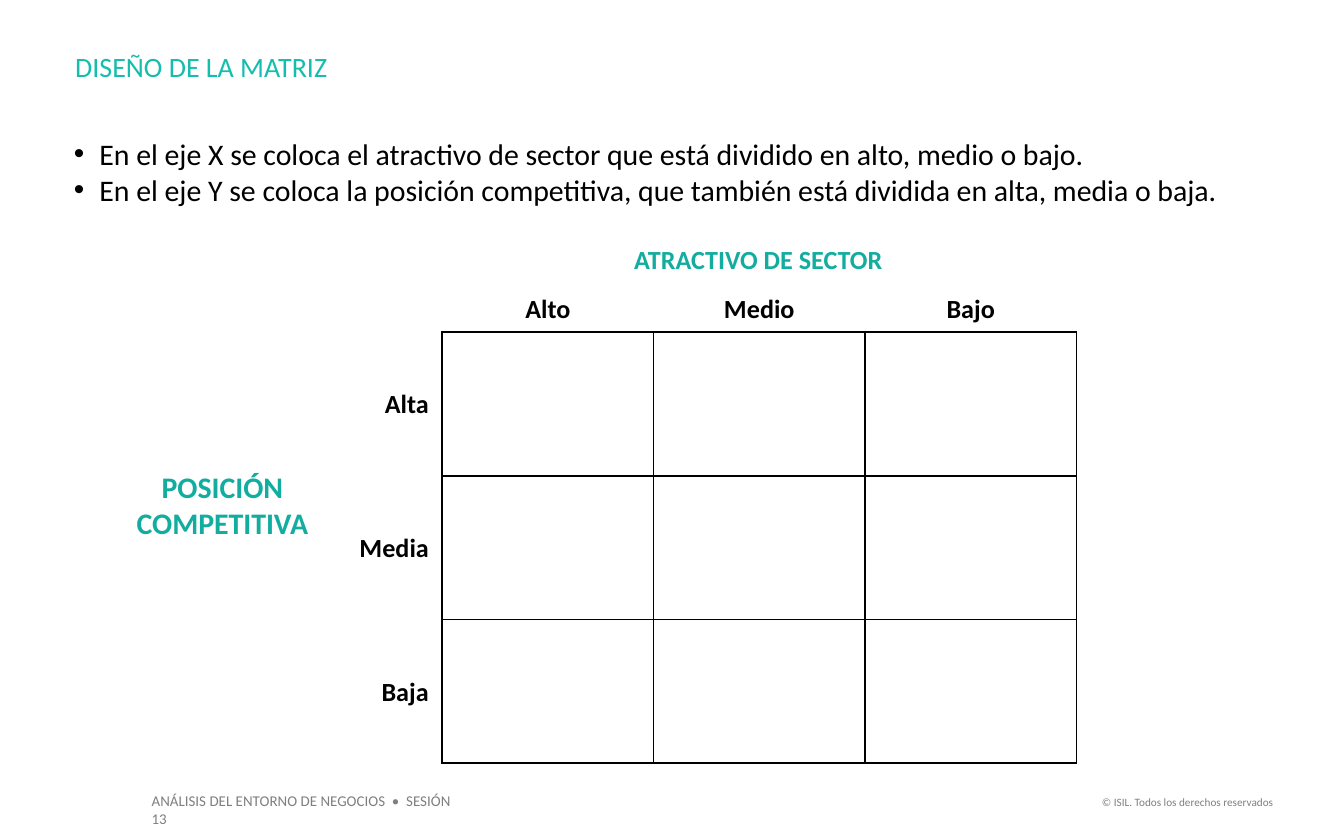
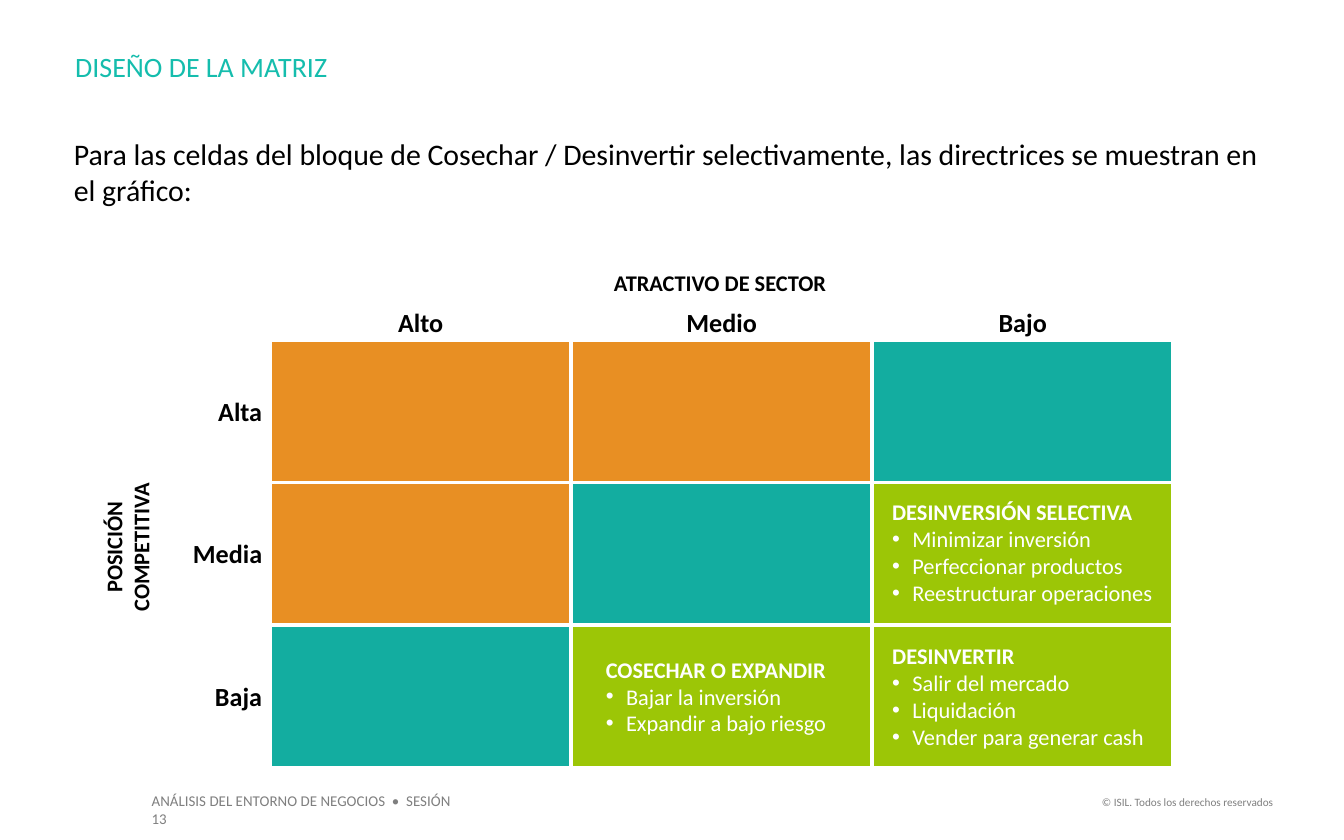
from lxml import etree
from pptx import Presentation
from pptx.dml.color import RGBColor
from pptx.enum.text import PP_ALIGN as Align
from pptx.oxml.ns import qn
from pptx.util import Inches, Pt

FONT = "Calibri"
BLACK = RGBColor(0x00, 0x00, 0x00)
WHITE = RGBColor(0xFF, 0xFF, 0xFF)
GRAY = RGBColor(0x7F, 0x7F, 0x7F)
TITLE_TEAL = RGBColor(0x15, 0xBD, 0xAD)
TEAL = RGBColor(0x13, 0xAD, 0xA0)
ORANGE = RGBColor(0xE8, 0x8F, 0x23)
GREEN = RGBColor(0x9C, 0xC6, 0x06)

COLUMN_LABELS = (("Alto", 0.54), ("Medio", 0.73), ("Bajo", 0.56))
ROW_LABELS = (("Alta", 0.53), ("Media", 0.72), ("Baja", 0.56))
LABEL_HEIGHT = 0.34
SECTOR_AXIS = "ATRACTIVO DE SECTOR"
POSITION_AXIS = "POSICIÓN COMPETITIVA"


def add_bullet(paragraph, indent):
    properties = paragraph._p.get_or_add_pPr()
    properties.set("marL", str(Inches(indent)))
    properties.set("indent", str(-Inches(indent)))
    etree.SubElement(properties, qn("a:buFont"), typeface="Arial")
    etree.SubElement(properties, qn("a:buChar"), char="•")


def add_text(slide, box, lines, size, color=BLACK, bold=False, align=Align.LEFT,
             inset=True, wrap=True, bullet_indent=None, heading=False):
    shape = slide.shapes.add_textbox(*map(Inches, box))
    frame = shape.text_frame
    frame.word_wrap = wrap
    frame.margin_left = frame.margin_right = Inches(0.1 if inset else 0)
    frame.margin_top = frame.margin_bottom = Inches(0.05 if inset else 0)
    frame.text = "\n".join(lines)
    for index, paragraph in enumerate(frame.paragraphs):
        is_heading = heading and index == 0
        if bullet_indent and not is_heading:
            add_bullet(paragraph, bullet_indent)
        paragraph.alignment = align
        paragraph.font.name = FONT
        paragraph.font.size = Pt(size)
        paragraph.font.color.rgb = color
        paragraph.font.bold = bold or is_heading
    return shape


def add_frame(presentation, body, bullet_indent=None):
    slide = presentation.slides.add_slide(presentation.slide_layouts[6])
    add_text(slide, (1.03, 5.84, 2.56, 0.24),
             ["ANÁLISIS DEL ENTORNO DE NEGOCIOS  •  SESIÓN 13"], 8, GRAY)
    add_text(slide, (8.05, 5.87, 1.52, 0.2),
             ["© ISIL. Todos los derechos reservados"], 6, GRAY, align=Align.RIGHT)
    add_text(slide, (0.56, 0.37, 4.53, 0.25), ["DISEÑO DE LA MATRIZ"], 15,
             TITLE_TEAL, inset=False)
    add_text(slide, (0.55, 1.01, 8.94, 0.54), body, 16, inset=False,
             bullet_indent=bullet_indent)
    return slide


def set_borders(cell, color, width):
    properties = cell._tc.get_or_add_tcPr()
    for side in ("lnL", "lnR", "lnT", "lnB"):
        line = etree.SubElement(properties, qn(f"a:{side}"), w=str(Pt(width)))
        fill = etree.SubElement(line, qn("a:solidFill"))
        etree.SubElement(fill, qn("a:srgbClr"), val=str(color))


def add_matrix(slide, box, fills, border_color, border_width, label_top, label_right):
    left, top, width, height = box
    column_width, row_height = width / 3, height / 3
    table = slide.shapes.add_table(3, 3, *map(Inches, box)).table
    table.first_row = table.horz_banding = False
    for column in table.columns:
        column.width = Inches(column_width)
    for row, row_fills in zip(table.rows, fills):
        row.height = Inches(row_height)
        for cell, color in zip(row.cells, row_fills):
            set_borders(cell, border_color, border_width)
            cell.fill.solid()
            cell.fill.fore_color.rgb = color
    for index, (label, label_width) in enumerate(COLUMN_LABELS):
        label_left = left + (index + 0.5) * column_width - label_width / 2
        add_text(slide, (label_left, label_top, label_width, LABEL_HEIGHT), [label], 14,
                 bold=True, align=Align.CENTER, wrap=False)
    for index, (label, label_width) in enumerate(ROW_LABELS):
        row_label_top = top + (index + 0.5) * row_height - LABEL_HEIGHT / 2
        add_text(slide, (label_right - label_width, row_label_top, label_width, LABEL_HEIGHT),
                 [label], 14, bold=True, align=Align.RIGHT, wrap=False)


def build_axes_slide(presentation):
    slide = add_frame(presentation, [
        "En el eje X se coloca el atractivo de sector que está dividido en alto, medio o bajo.",
        "En el eje Y se coloca la posición competitiva, que también está dividida en alta, media o baja.",
    ], bullet_indent=0.19)
    add_matrix(slide, (3.29, 2.47, 4.72, 3.21), [[WHITE] * 3] * 3, BLACK, 1,
               label_top=2.13, label_right=3.29)
    add_text(slide, (4.62, 1.76, 2.06, 0.34), [SECTOR_AXIS], 14, TEAL, bold=True, wrap=False)
    add_text(slide, (0.87, 3.44, 1.57, 0.64), [POSITION_AXIS], 16, TEAL, bold=True,
             align=Align.CENTER)


def build_guidelines_slide(presentation):
    slide = add_frame(presentation, [
        "Para las celdas del bloque de Cosechar / Desinvertir selectivamente, "
        "las directrices se muestran en el gráfico:",
    ])
    fills = [[ORANGE, ORANGE, TEAL], [ORANGE, TEAL, GREEN], [TEAL, GREEN, GREEN]]
    add_matrix(slide, (2.01, 2.53, 6.72, 3.18), fills, WHITE, 2.25,
               label_top=2.23, label_right=2.05)
    guidelines = (
        ((6.54, 3.66, 2.16, 0.91),
         ["DESINVERSIÓN SELECTIVA", "Minimizar inversión", "Perfeccionar productos",
          "Reestructurar operaciones"]),
        ((6.54, 4.73, 2.12, 0.91),
         ["DESINVERTIR", "Salir del mercado", "Liquidación", "Vender para generar cash"]),
        ((4.41, 4.83, 1.86, 0.71),
         ["COSECHAR O EXPANDIR", "Bajar la inversión", "Expandir a bajo riesgo"]),
    )
    for box, lines in guidelines:
        add_text(slide, box, lines, 12, WHITE, wrap=False, bullet_indent=0.15, heading=True)
    add_text(slide, (4.47, 1.95, 1.8, 0.3), [SECTOR_AXIS], 12, bold=True, wrap=False)
    position_axis = add_text(slide, (0.29, 3.82, 1.31, 0.5), [POSITION_AXIS], 12, bold=True,
                             align=Align.CENTER)
    position_axis.rotation = 270


def main():
    presentation = Presentation()
    presentation.slide_width = Inches(10)
    presentation.slide_height = Inches(6.25)
    build_axes_slide(presentation)
    build_guidelines_slide(presentation)
    presentation.save("out.pptx")


if __name__ == "__main__":
    main()
